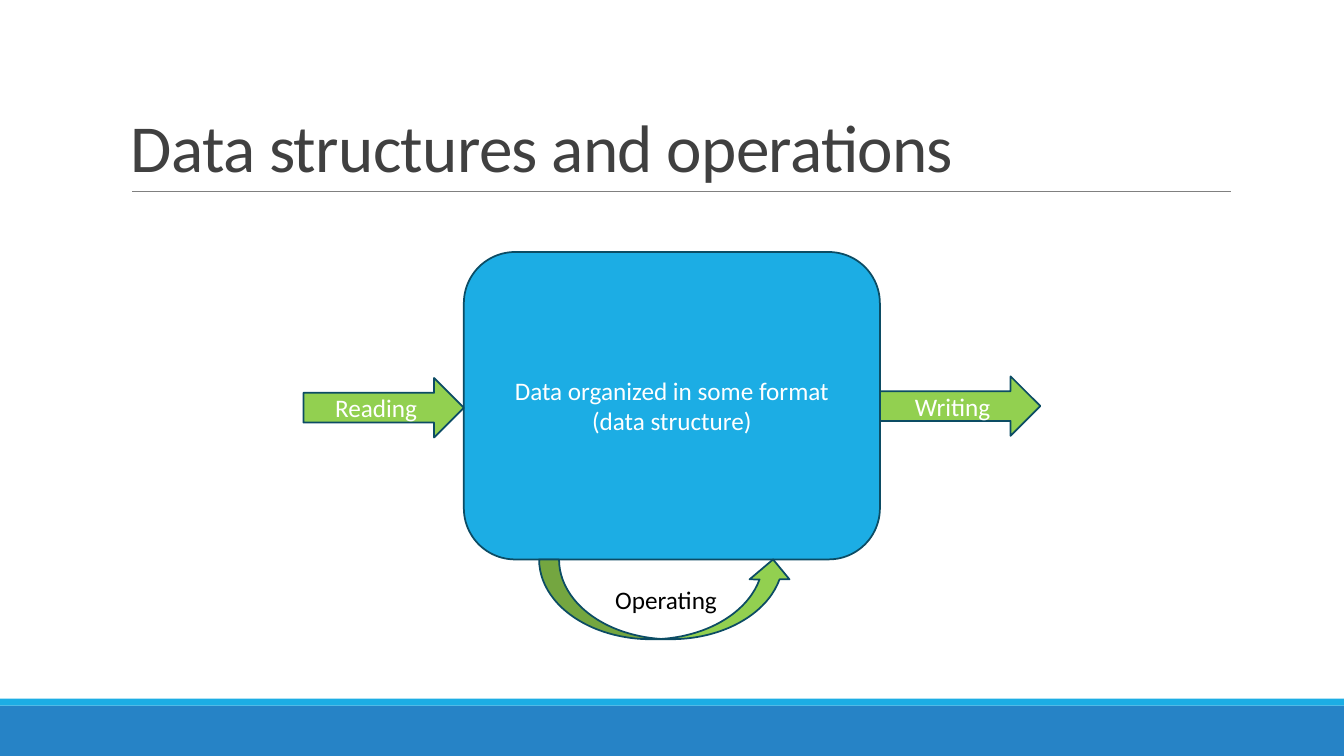
from lxml import etree
from pptx import Presentation
from pptx.dml.color import RGBColor
from pptx.enum.shapes import MSO_CONNECTOR, MSO_SHAPE
from pptx.enum.text import MSO_ANCHOR, PP_ALIGN
from pptx.oxml.ns import qn
from pptx.util import Pt

RECTANGLE = MSO_SHAPE.RECTANGLE
ROUNDED = MSO_SHAPE.ROUNDED_RECTANGLE
RIGHT_ARROW = MSO_SHAPE.RIGHT_ARROW
CURVED_ARROW = MSO_SHAPE.CURVED_UP_ARROW
STRAIGHT = MSO_CONNECTOR.STRAIGHT
BOTTOM, MIDDLE = MSO_ANCHOR.BOTTOM, MSO_ANCHOR.MIDDLE
CENTER = PP_ALIGN.CENTER

BLUE = RGBColor(0x26, 0x83, 0xC6)
CYAN = RGBColor(0x1C, 0xAD, 0xE4)
GREEN = RGBColor(0x92, 0xD0, 0x50)
OUTLINE = RGBColor(0x0C, 0x4C, 0x64)
TITLE_GREY = RGBColor(0x40, 0x40, 0x40)
RULE_GREY = RGBColor(0x80, 0x80, 0x80)
WHITE = RGBColor(0xFF, 0xFF, 0xFF)
BLACK = RGBColor(0, 0, 0)

FONT = "Calibri"
PAGE_WIDTH, PAGE_HEIGHT = 960, 540


def style_text(para, size, color):
    """Give a paragraph its font, size and colour."""
    para.font.name = FONT
    para.font.size = Pt(size)
    para.font.color.rgb = color


def add_filled(page, kind, box, fill):
    """Add a flat preset shape without outline in box (left, top, width, height)."""
    shape = page.shapes.add_shape(kind, *map(Pt, box))
    shape.shadow.inherit = False
    shape.fill.solid()
    shape.fill.fore_color.rgb = fill
    shape.line.fill.background()
    return shape


def add_labelled(page, kind, box, fill, label, color=WHITE):
    """Add an outlined preset shape with a centred label."""
    shape = add_filled(page, kind, box, fill)
    shape.line.color.rgb = OUTLINE
    shape.line.width = Pt(1.25)
    frame = shape.text_frame
    frame.word_wrap = True
    frame.vertical_anchor = MIDDLE
    para = frame.paragraphs[0]
    para.text = label
    para.alignment = CENTER
    style_text(para, 18, color)


def add_footer(page, box):
    """Fill the box with a blue band under a thin cyan strip."""
    left, top, width, height = box
    strip = 5
    add_filled(page, RECTANGLE, (left, top + strip, width, height - strip), BLUE)
    add_filled(page, RECTANGLE, (left, top, width, strip), CYAN)


def add_title(page, box, title):
    """Set the title at the bottom of the box, with a rule along its lower edge."""
    left, top, width, height = box
    bottom = top + height
    rule = page.shapes.add_connector(
        STRAIGHT, Pt(left + 8), Pt(bottom), Pt(left + width + 0.7), Pt(bottom))
    rule.line.color.rgb = RULE_GREY
    rule.line.width = Pt(0.5)
    etree.SubElement(rule.element.spPr, qn("a:effectLst"))

    frame = page.shapes.add_textbox(*map(Pt, box)).text_frame
    frame.word_wrap = True
    frame.vertical_anchor = BOTTOM
    para = frame.paragraphs[0]
    para.line_spacing = 0.85
    style_text(para, 48, TITLE_GREY)
    span = para.add_run()
    span.text = title
    span._r.get_or_add_rPr().set("spc", "-50")


def add_diagram(page, box):
    """Draw the data block with its reading, writing and operating arrows."""
    left, top, width, height = box
    arrow_width, arrow_height = 114.6, 42.5
    block_width = width - 2 * arrow_width
    block_left = left + arrow_width
    block_height = 219.6
    add_labelled(page, ROUNDED, (block_left, top, block_width, block_height),
                 CYAN, "Data organized in some format (data structure)")
    arrows = [("Reading", left, 90), ("Writing", block_left + block_width, 88.8)]
    for label, arrow_left, drop in arrows:
        add_labelled(page, RIGHT_ARROW,
                     (arrow_left, top + drop, arrow_width, arrow_height), GREEN, label)
    add_labelled(page, CURVED_ARROW,
                 (block_left + 53.8, top + block_height, 181.4, height - block_height),
                 GREEN, "Operating", BLACK)


deck = Presentation()
deck.slide_width, deck.slide_height = Pt(PAGE_WIDTH), Pt(PAGE_HEIGHT)
page = deck.slides.add_slide(deck.slide_layouts[6])
add_footer(page, (0, 499, PAGE_WIDTH, 41))
add_title(page, (86.4, 22.4, 792, 114.4), "Data structures and operations")
add_diagram(page, (216.7, 180, 526.4, 276.6))
deck.save("out.pptx")
